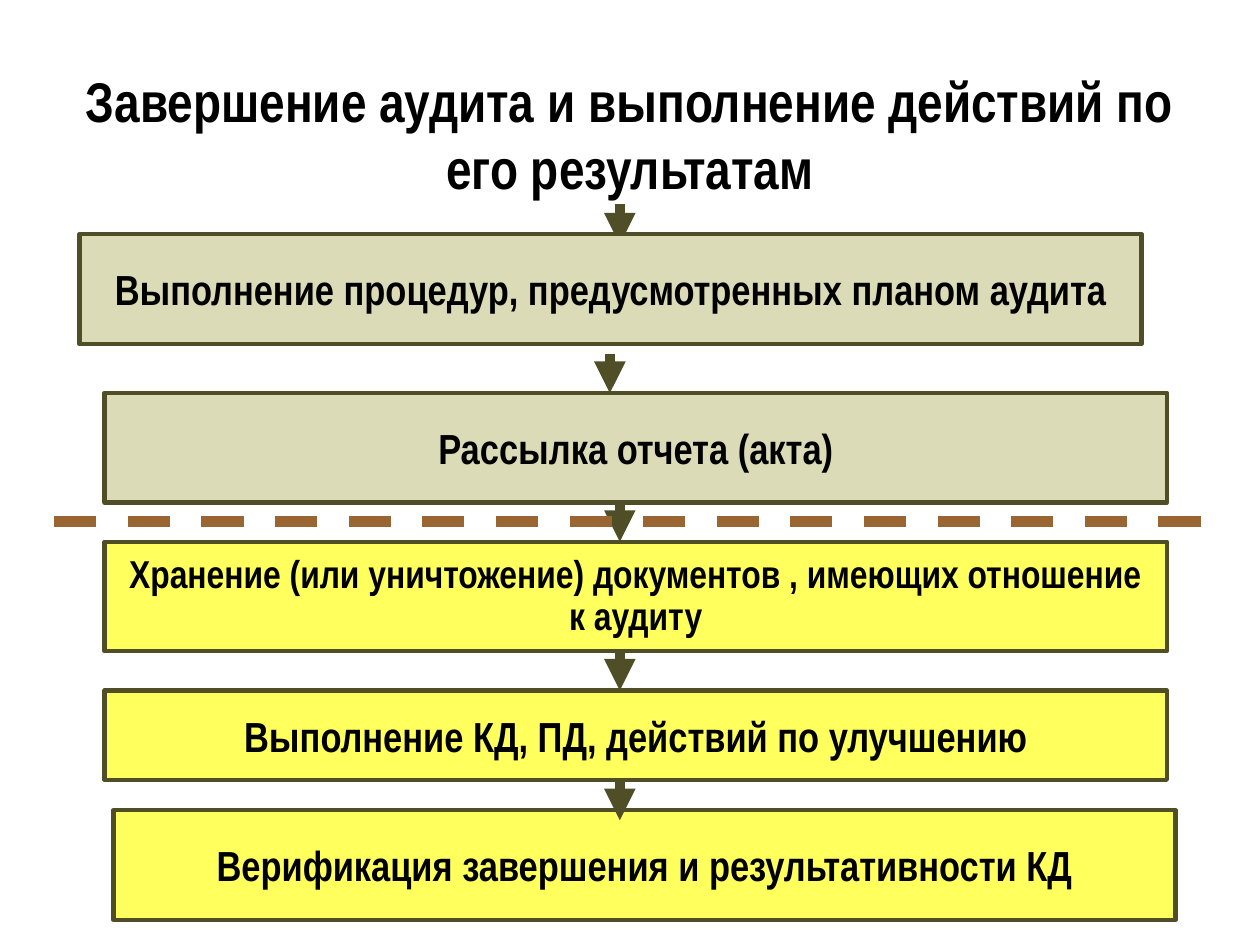
from dataclasses import dataclass

from lxml import etree
from pptx import Presentation
from pptx.dml.color import RGBColor
from pptx.enum import dml, shapes, text
from pptx.oxml import ns
from pptx.util import Pt

HUES = {
    "ink": "000000",
    "edge": "4F4E27",
    "olive": "DCDBB7",
    "yellow": "FFFF5D",
    "brown": "996633",
}
FACE = "Arial Narrow"
WIDE = 607
MID = 354.2


@dataclass
class Step:
    label: str
    left: float
    top: float
    fill: str
    high: float = 62.6
    size: float = 24
    wrap: bool = True
    pitch: float = 1.0


@dataclass
class Arrow:
    top: float
    end: float
    x: float = MID


STEPS = [
    Step("Выполнение процедур, предусмотренных планом аудита",
         45.4, 133.9, "olive", wrap=False),
    Step("Рассылка отчета (акта)", 59.8, 224.6, "olive", wrap=False),
    Step("Хранение (или уничтожение) документов , имеющих отношение к аудиту",
         59.8, 309.6, "yellow", size=22.2, pitch=0.9),
    Step("Выполнение КД, ПД, действий по улучшению",
         59.8, 394.6, "yellow", high=51),
    Step("Верификация завершения и результативности КД",
         64.8, 463, "yellow"),
]
BACK = [Arrow(116.6, 139.7), Arrow(281.5, 309.6)]
FRONT = [Arrow(202.3, 224.6, 348.5), Arrow(445.7, 468.7), Arrow(372.2, 394.6)]


def hue(name: str) -> RGBColor:
    return RGBColor.from_string(HUES[name])


def write(frame, label: str, size: float, wrap: bool = True,
          pitch: float = 1.0) -> None:
    """Fill a frame with one bold, centred paragraph."""
    look = {
        "auto_size": text.MSO_AUTO_SIZE.NONE,
        "word_wrap": wrap,
        "vertical_anchor": text.MSO_ANCHOR.MIDDLE,
        "margin_left": Pt(7.2),
        "margin_right": Pt(7.2),
        "margin_top": Pt(3.6),
        "margin_bottom": Pt(3.6),
    }
    for key, value in look.items():
        setattr(frame, key, value)
    para = frame.paragraphs[0]
    para.alignment = text.PP_ALIGN.CENTER
    para.line_spacing = pitch
    run = para.add_run()
    run.text = label
    for key, value in {"name": FACE, "size": Pt(size), "bold": True}.items():
        setattr(run.font, key, value)
    run.font.color.rgb = hue("ink")


def draw_step(slide, step: Step) -> None:
    box = slide.shapes.add_shape(
        shapes.MSO_SHAPE.RECTANGLE,
        Pt(step.left), Pt(step.top), Pt(WIDE), Pt(step.high))
    box.shadow.inherit = False
    box.fill.solid()
    box.fill.fore_color.rgb = hue(step.fill)
    box.line.color.rgb = hue("edge")
    box.line.width = Pt(2.5)
    write(box.text_frame, step.label, step.size, step.wrap, step.pitch)


def draw_line(slide, x: float, y: float, x2: float, y2: float, tint: str):
    link = slide.shapes.add_connector(
        shapes.MSO_CONNECTOR.STRAIGHT, Pt(x), Pt(y), Pt(x2), Pt(y2))
    link.line.color.rgb = hue(tint)
    link.line.width = Pt(6)
    etree.SubElement(link._element.spPr, ns.qn("a:effectLst"))
    return link


def draw_arrow(slide, arrow: Arrow) -> None:
    link = draw_line(slide, arrow.x, arrow.top, arrow.x, arrow.end, "edge")
    etree.SubElement(link.line._get_or_add_ln(), ns.qn("a:tailEnd"),
                     type="triangle")


def main() -> None:
    deck = Presentation()
    deck.slide_width, deck.slide_height = Pt(720), Pt(540)
    slide = deck.slides.add_slide(deck.slide_layouts[5])

    title = slide.shapes.title
    spot = {"left": 36, "top": 41.8, "width": 648, "height": 69.1}
    for key, value in spot.items():
        setattr(title, key, Pt(value))
    write(title.text_frame,
          "Завершение аудита и выполнение действий по его результатам", 32)

    for arrow in BACK:
        draw_arrow(slide, arrow)
    for step in STEPS:
        draw_step(slide, step)
    for arrow in FRONT:
        draw_arrow(slide, arrow)

    split = draw_line(slide, 31, 298.1, 702.7, 298.1, "brown")
    split.line.dash_style = dml.MSO_LINE.DASH
    deck.save("out.pptx")


if __name__ == "__main__":
    main()
